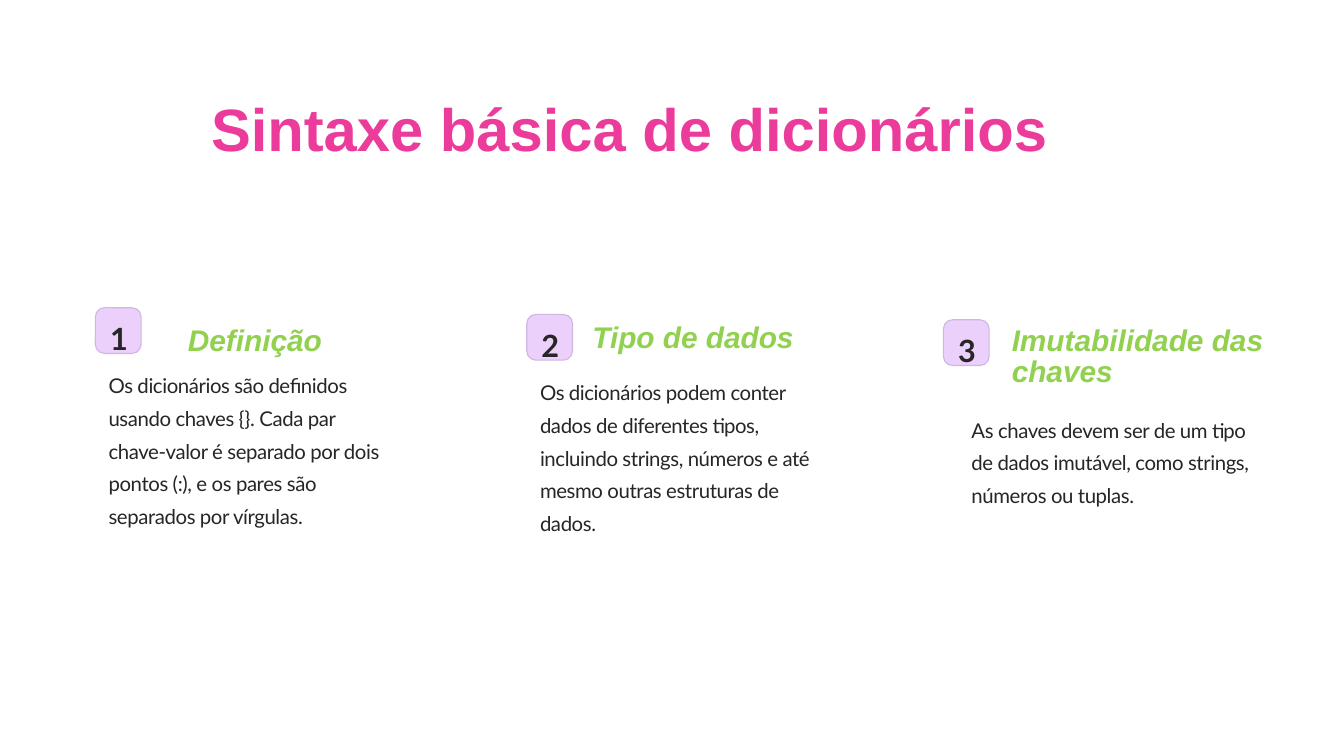
"""Build a slide on basic dictionary syntax with three numbered topics."""
from dataclasses import dataclass

from pptx import Presentation
from pptx.dml.color import RGBColor
from pptx.enum.shapes import MSO_SHAPE
from pptx.enum.text import MSO_ANCHOR, MSO_AUTO_SIZE, PP_ALIGN
from pptx.util import Inches, Pt

ROUNDED = MSO_SHAPE.ROUNDED_RECTANGLE
TOP = MSO_ANCHOR.TOP
NO_AUTOFIT = MSO_AUTO_SIZE.NONE
LEFT, CENTER = PP_ALIGN.LEFT, PP_ALIGN.CENTER
TITLE_ONLY = 5
SLIDE_WIDTH = Inches(10)
SLIDE_HEIGHT = SLIDE_WIDTH * 9 // 16
BADGE_SIZE = 0.34


@dataclass(frozen=True)
class TextStyle:
    """Type settings for one kind of text."""
    font: str
    size: float
    color: str
    bold: bool = False
    italic: bool = False
    line_spacing: float | None = None
    tracking: float = 0
    align: PP_ALIGN = LEFT


@dataclass(frozen=True)
class Theme:
    """Colours and text styles of the slide."""
    badge_fill: str = "EBD0FB"
    badge_line: str = "D1B6E1"
    title: TextStyle = TextStyle("Arial", 32, "EB3C9B", bold=True)
    heading: TextStyle = TextStyle("Arial", 16, "92D050", bold=True, italic=True,
                                   line_spacing=17.1)
    number: TextStyle = TextStyle("Lato", 16.4, "272525", bold=True,
                                  line_spacing=20.5, tracking=-0.33, align=CENTER)
    body: TextStyle = TextStyle("Lato", 10.9, "272525", line_spacing=17.5, tracking=-0.23)


@dataclass(frozen=True)
class Topic:
    """Content and placement of one numbered topic."""
    badge_at: tuple
    heading_at: tuple
    body_box: tuple
    heading: str
    body: str


THEME = Theme()
TOPICS = (
    Topic((0.71, 2.29), (1.3, 2.37), (0.71, 2.67, 2.27, 1.46), "Definição",
          "Os dicionários são definidos usando chaves {}. Cada par chave-valor é "
          "separado por dois pontos (:), e os pares são separados por vírgulas."),
    Topic((3.92, 2.34), (4.31, 2.35), (3.92, 2.72, 2.4, 1.21), "Tipo de dados",
          "Os dicionários podem conter dados de diferentes tipos, incluindo strings, "
          "números e até mesmo outras estruturas de dados."),
    Topic((7.02, 2.38), (7.43, 2.37), (7.13, 3, 2.27, 0.97), "Imutabilidade das\nchaves",
          "As chaves devem ser de um tipo de dados imutável, como strings, "
          "números ou tuplas."),
)


def write_text(frame, text, style, wrap=False):
    """Fill a text frame with styled paragraphs, one per line of text."""
    frame.text = text
    frame.word_wrap = wrap
    frame.auto_size = NO_AUTOFIT
    frame.vertical_anchor = TOP
    for paragraph in frame.paragraphs:
        paragraph.alignment = style.align
        if style.line_spacing:
            paragraph.line_spacing = Pt(style.line_spacing)
        font = paragraph.font
        font.name, font.size = style.font, Pt(style.size)
        font.bold, font.italic = style.bold, style.italic
        font.color.rgb = RGBColor.from_string(style.color)
        if style.tracking:
            for run in paragraph.runs:
                run._r.get_or_add_rPr().set("spc", str(round(style.tracking * 100)))


def add_title(slide, text):
    """Place the slide title in its placeholder, wide enough for one line."""
    title = slide.shapes.title
    title.left, title.top = Inches(1.47), Inches(0.63)
    title.width, title.height = Inches(6.5), Inches(0.47)
    write_text(title.text_frame, text, THEME.title)


def add_text(slide, box, text, style, wrap=False):
    """Add a text box at the given left, top, width and height."""
    text_box = slide.shapes.add_textbox(*map(Inches, box))
    write_text(text_box.text_frame, text, style, wrap)


def add_badge(slide, left, top, number):
    """Add a rounded badge with its number."""
    badge = slide.shapes.add_shape(ROUNDED, Inches(left), Inches(top),
                                   Inches(BADGE_SIZE), Inches(BADGE_SIZE))
    badge.adjustments[0] = 0.2
    badge.shadow.inherit = False
    badge.fill.solid()
    badge.fill.fore_color.rgb = RGBColor.from_string(THEME.badge_fill)
    badge.line.color.rgb = RGBColor.from_string(THEME.badge_line)
    badge.line.width = Pt(0.6)
    add_text(slide, (left + 0.11, top + 0.03, 0.13, 0.28), str(number), THEME.number)


def add_topic(slide, number, topic):
    """Add a badge, heading and explanation for one topic."""
    add_badge(slide, *topic.badge_at, number)
    add_text(slide, (*topic.heading_at, 1.67, 0.24), topic.heading, THEME.heading)
    add_text(slide, topic.body_box, topic.body, THEME.body, wrap=True)


def main():
    """Build and save the presentation."""
    presentation = Presentation()
    presentation.slide_width, presentation.slide_height = SLIDE_WIDTH, SLIDE_HEIGHT
    slide = presentation.slides.add_slide(presentation.slide_layouts[TITLE_ONLY])
    add_title(slide, "Sintaxe básica de dicionários")
    for number, topic in enumerate(TOPICS, start=1):
        add_topic(slide, number, topic)
    presentation.save("out.pptx")


if __name__ == "__main__":
    main()
